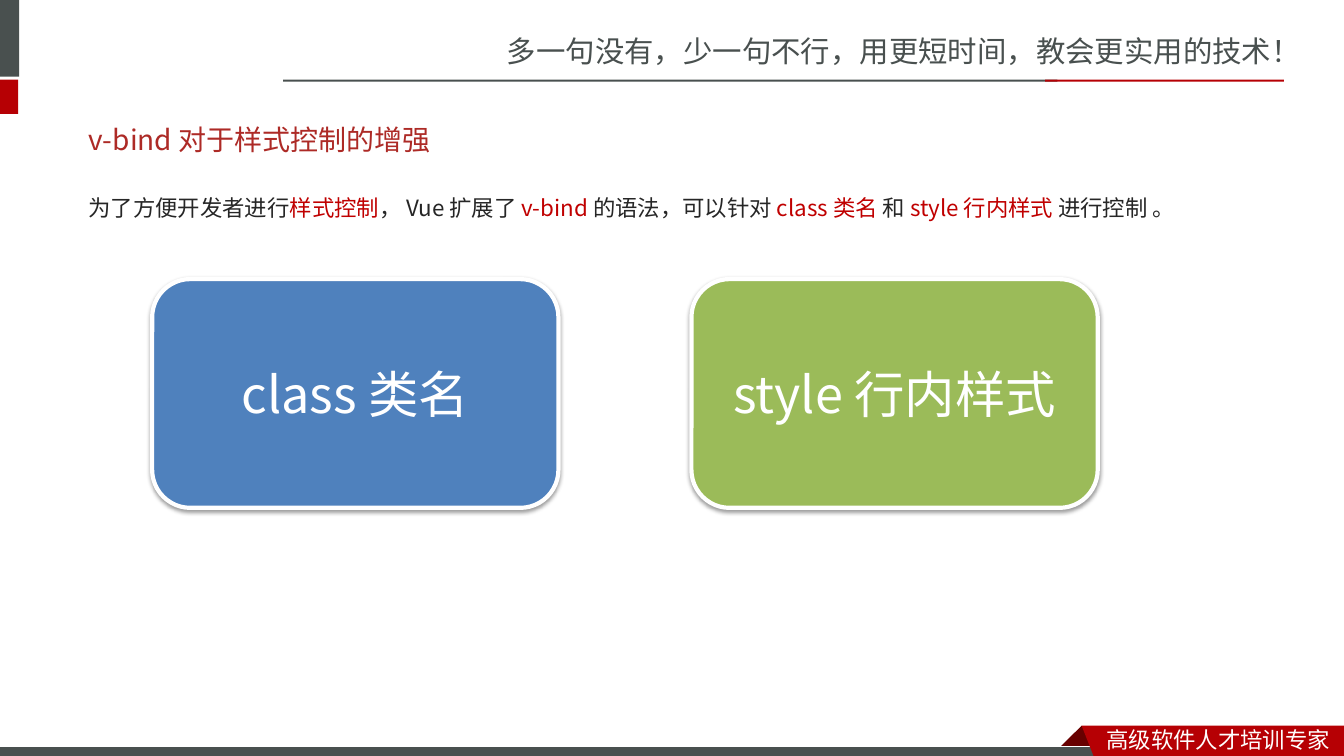
import pptx
import pptx.dml.color
import pptx.enum.shapes
import pptx.enum.text
import pptx.oxml
import pptx.oxml.ns
import pptx.util

Pt = pptx.util.Pt
RGB = pptx.dml.color.RGBColor
SHAPE = pptx.enum.shapes.MSO_SHAPE
ANCHOR = pptx.enum.text.MSO_ANCHOR
ALIGN = pptx.enum.text.PP_ALIGN

WHITE = RGB(0xFF, 0xFF, 0xFF)
GREY = RGB(0x49, 0x50, 0x4F)
RED = RGB(0xB6, 0x00, 0x04)
DARK_RED = RGB(0x68, 0x00, 0x00)
TITLE_RED = RGB(0xAD, 0x2A, 0x26)
INK = RGB(0x26, 0x26, 0x26)
KEYWORD = RGB(0xC0, 0x00, 0x00)
BLUE = RGB(0x4F, 0x81, 0xBD)
GREEN = RGB(0x9B, 0xBB, 0x59)

BRAND_FONT = "Noto Sans CJK SC"
CONTENT_FONT = "Noto Sans CJK JP"

SOFT_SHADOW = (
    '<a:outerShdw %s blurRad="39370" dist="20320" dir="5400000" rotWithShape="0">'
    '<a:srgbClr val="000000"><a:alpha val="38000"/></a:srgbClr></a:outerShdw>'
    % pptx.oxml.ns.nsdecls("a")
)


class SlideBuilder:
    """Draws on one slide, with all lengths in points."""

    def __init__(self, slide):
        self.shapes = slide.shapes

    def fill_frame(self, frame, runs, size, font, anchor=ANCHOR.TOP, align=ALIGN.LEFT):
        """Fill a text frame with one paragraph of (text, colour) runs."""
        frame.word_wrap = True
        frame.vertical_anchor = anchor
        paragraph = frame.paragraphs[0]
        paragraph.alignment = align
        paragraph.font.size = Pt(size)
        paragraph.font.name = font
        east_asian = pptx.oxml.parse_xml(
            '<a:ea %s typeface="%s"/>' % (pptx.oxml.ns.nsdecls("a"), font))
        paragraph.font._element.append(east_asian)
        if len(runs) == 1:
            paragraph.font.color.rgb = runs[0][1]
        for words, color in runs:
            run = paragraph.add_run()
            run.text = words
            if len(runs) > 1:
                run.font.color.rgb = color
        return paragraph

    def text(self, box, runs, size, font, anchor=ANCHOR.TOP):
        label = self.shapes.add_textbox(*map(Pt, box))
        return self.fill_frame(label.text_frame, runs, size, font, anchor)

    def paint(self, shape, fill, line_width=0):
        shape.shadow.inherit = False
        shape.fill.solid()
        shape.fill.fore_color.rgb = fill
        if line_width:
            shape.line.color.rgb = WHITE
            shape.line.width = Pt(line_width)
        else:
            shape.line.fill.background()

    def bar(self, box, fill, line_width=0):
        self.paint(self.shapes.add_shape(SHAPE.RECTANGLE, *map(Pt, box)), fill, line_width)

    def polygon(self, points, fill):
        start, *rest = [(Pt(x), Pt(y)) for x, y in points]
        outline = self.shapes.build_freeform(*start)
        outline.add_line_segments(rest, close=True)
        self.paint(outline.convert_to_shape(), fill)

    def card(self, box, words, fill):
        card = self.shapes.add_shape(SHAPE.ROUNDED_RECTANGLE, *map(Pt, box))
        self.paint(card, fill, line_width=3)
        effects = card._element.spPr.find(pptx.oxml.ns.qn("a:effectLst"))
        effects.append(pptx.oxml.parse_xml(SOFT_SHADOW))
        self.fill_frame(card.text_frame, [(words, WHITE)], 36, CONTENT_FONT,
                        ANCHOR.MIDDLE, ALIGN.CENTER)


def draw_frame(page):
    """Header rule, side marks and footer ribbon."""
    page.text((355, 20.2, 605.5, 33.8),
              [("多一句没有，少一句不行，用更短时间，教会更实用的技术！", GREY)], 21, BRAND_FONT)
    page.bar((-4.3, 0, 18, 54.7), GREY)
    page.bar((-4.3, 56.9, 17.3, 24.5), RED)
    page.bar((202.3, 56.9, 553, 1.5), GREY)
    page.bar((746.6, 56.9, 170.6, 1.5), RED)
    page.polygon([(772.6, 518.4), (788.4, 534.2), (787.7, 535), (757.4, 535),
                  (756.7, 534.2)], DARK_RED)
    page.bar((-0.7, 533.5, 792, 8.6), GREY, line_width=0.75)
    page.polygon([(772.6, 518.4), (960, 518.4), (960, 542.9), (782, 542.2)], RED)
    page.text((783.4, 514.8, 176.6, 26.6), [("高级软件人才培训专家", WHITE)], 16, BRAND_FONT)


def draw_content(page):
    page.text((56.2, 79.2, 843.8, 41), [("v-bind 对于样式控制的增强", TITLE_RED)],
              20, CONTENT_FONT, ANCHOR.MIDDLE)
    cards = [("class 类名", BLUE), ("style 行内样式", GREEN)]
    for column, (words, fill) in enumerate(cards):
        page.card((108.7 + 385.2 * column, 199.4, 290.2, 163.4), words, fill)
    summary = page.text((56.2, 125.3, 843.8, 277.2), [
        ("为了方便开发者进行", INK),
        ("样式控制", KEYWORD),
        ("， Vue 扩展了 ", INK),
        ("v-bind ", KEYWORD),
        ("的语法，可以针对 ", INK),
        ("class 类名", KEYWORD),
        (" 和 ", INK),
        ("style 行内样式", KEYWORD),
        (" 进行控制 。", INK),
    ], 16, CONTENT_FONT)
    summary.line_spacing = 1.5
    summary.space_before = Pt(3.2)


def main():
    deck = pptx.Presentation()
    deck.slide_width, deck.slide_height = Pt(960), Pt(540)
    page = SlideBuilder(deck.slides.add_slide(deck.slide_layouts[6]))
    draw_frame(page)
    draw_content(page)
    deck.save("out.pptx")


if __name__ == "__main__":
    main()
